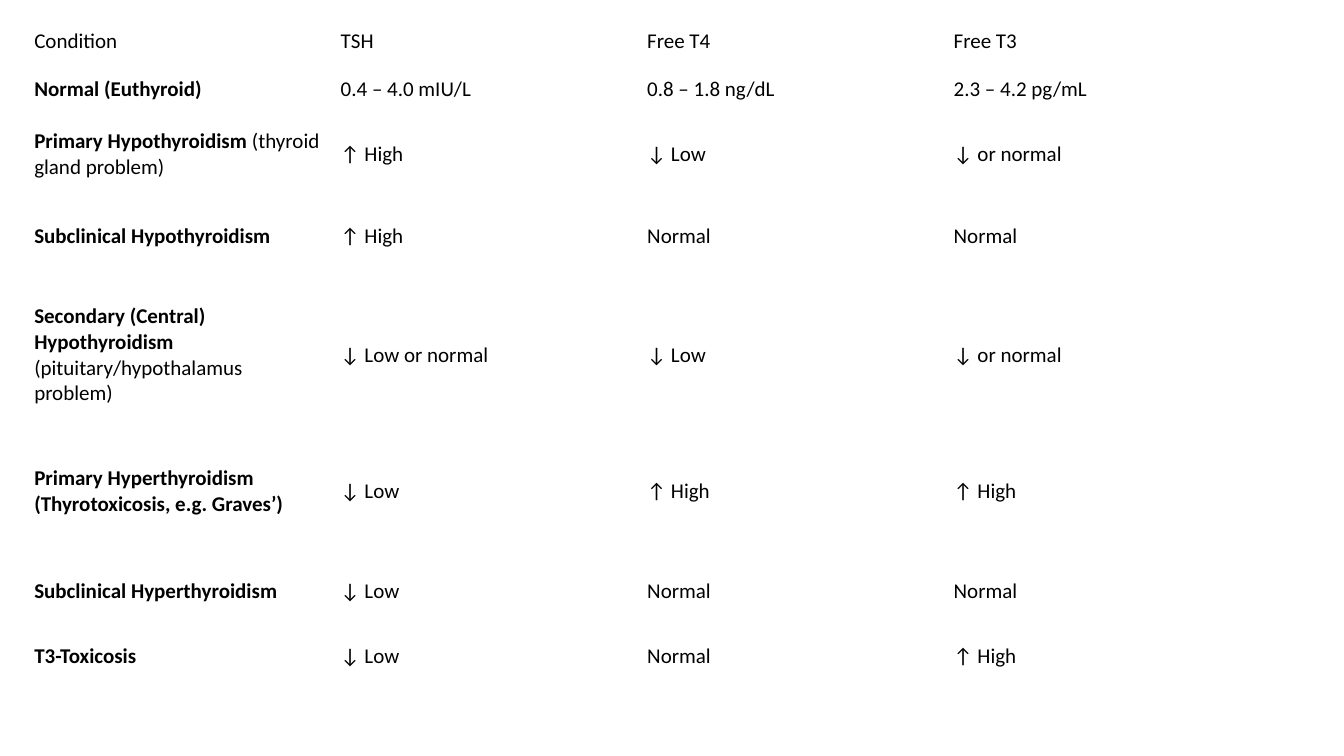
import pptx
import pptx.dml.color
import pptx.enum.text
import pptx.util
from pptx.util import Inches

FONT = "Calibri"
TEXT_COLOUR = "000000"
COLUMN_WIDTH = 3.04

HEADINGS = ["Condition", "TSH", "Free T4", "Free T3"]
CONDITIONS = [
    (0.47, "Normal (Euthyroid)", "",
     ["0.4 – 4.0 mIU/L", "0.8 – 1.8 ng/dL", "2.3 – 4.2 pg/mL"]),
    (0.82, "Primary Hypothyroidism", " (thyroid gland problem)",
     ["↑ High", "↓ Low", "↓ or normal"]),
    (0.82, "Subclinical Hypothyroidism", "",
     ["↑ High", "Normal", "Normal"]),
    (1.53, "Secondary (Central) Hypothyroidism", " (pituitary/hypothalamus problem)",
     ["↓ Low or normal", "↓ Low", "↓ or normal"]),
    (1.17, "Primary Hyperthyroidism (Thyrotoxicosis, e.g. Graves’)", "",
     ["↓ Low", "↑ High", "↑ High"]),
    (0.82, "Subclinical Hyperthyroidism", "",
     ["↓ Low", "Normal", "Normal"]),
    (0.47, "T3-Toxicosis", "",
     ["↓ Low", "Normal", "↑ High"]),
]
HEADING_HEIGHT = 0.47


def set_colour(font, colour):
    font.color.rgb = pptx.dml.color.RGBColor.from_string(colour)


def fill_cell(cell, *parts):
    cell.fill.background()
    cell.vertical_anchor = pptx.enum.text.MSO_ANCHOR.MIDDLE
    cell.margin_left = cell.margin_right = Inches(0.08)
    cell.margin_top = cell.margin_bottom = Inches(0.04)
    paragraph = cell.text_frame.paragraphs[0]
    paragraph.font.name = FONT
    paragraph.font.size = pptx.util.Pt(15)
    set_colour(paragraph.font, TEXT_COLOUR)
    for words, bold in parts:
        run = paragraph.add_run()
        run.text = words
        run.font.bold = bold
        set_colour(run.font, TEXT_COLOUR)


def add_thyroid_table(slide):
    heights = [HEADING_HEIGHT] + [condition[0] for condition in CONDITIONS]
    table = slide.shapes.add_table(
        len(heights), len(HEADINGS), Inches(0.26), Inches(0.18),
        Inches(COLUMN_WIDTH * len(HEADINGS)), Inches(sum(heights))).table
    table.horz_banding = False
    for column in table.columns:
        column.width = Inches(COLUMN_WIDTH)
    for row, height in zip(table.rows, heights):
        row.height = Inches(height)

    for column, heading in enumerate(HEADINGS):
        fill_cell(table.cell(0, column), (heading, False))
    for row, (_, name, cause, levels) in enumerate(CONDITIONS, start=1):
        name_parts = [(name, True)]
        if cause:
            name_parts.append((cause, False))
        fill_cell(table.cell(row, 0), *name_parts)
        for column, level in enumerate(levels, start=1):
            fill_cell(table.cell(row, column), (level, False))


def main():
    deck = pptx.Presentation()
    deck.slide_width = Inches(13.33)
    deck.slide_height = Inches(7.5)
    slide = deck.slides.add_slide(deck.slide_layouts[6])
    add_thyroid_table(slide)
    deck.save("out.pptx")


if __name__ == "__main__":
    main()
